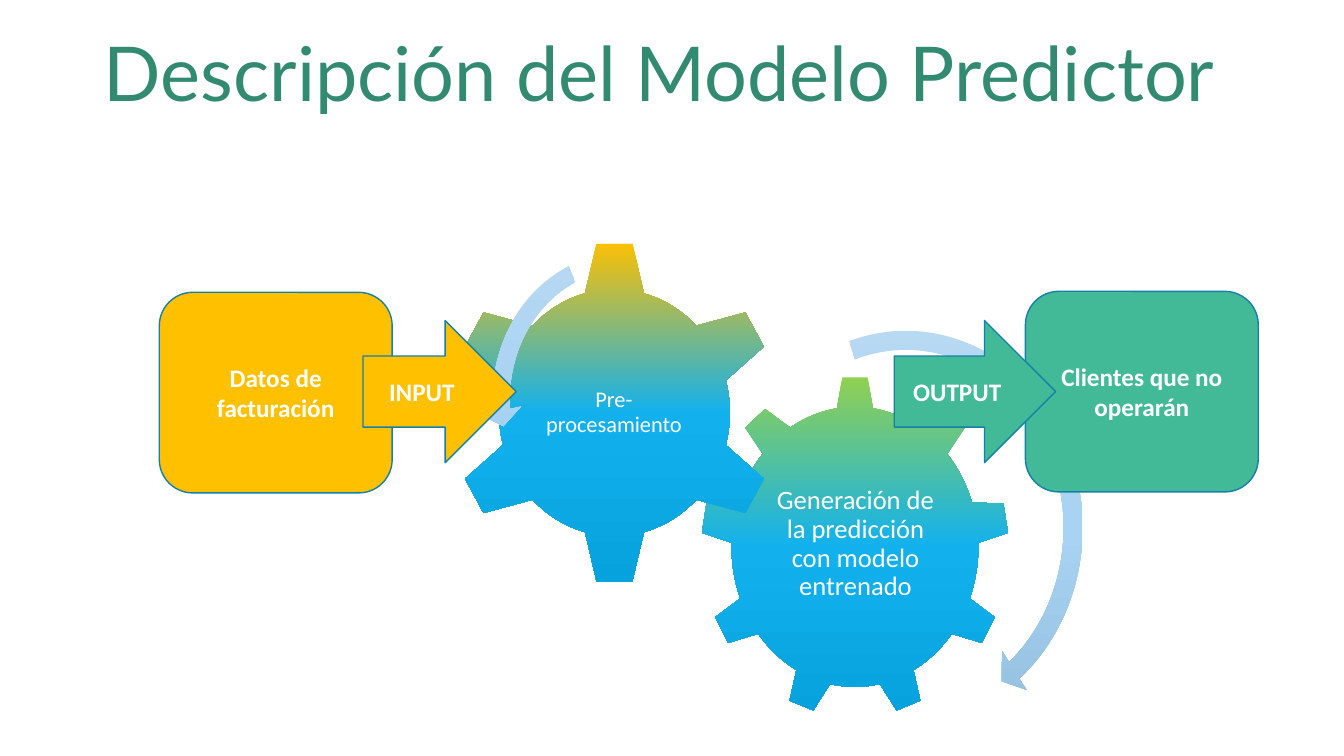
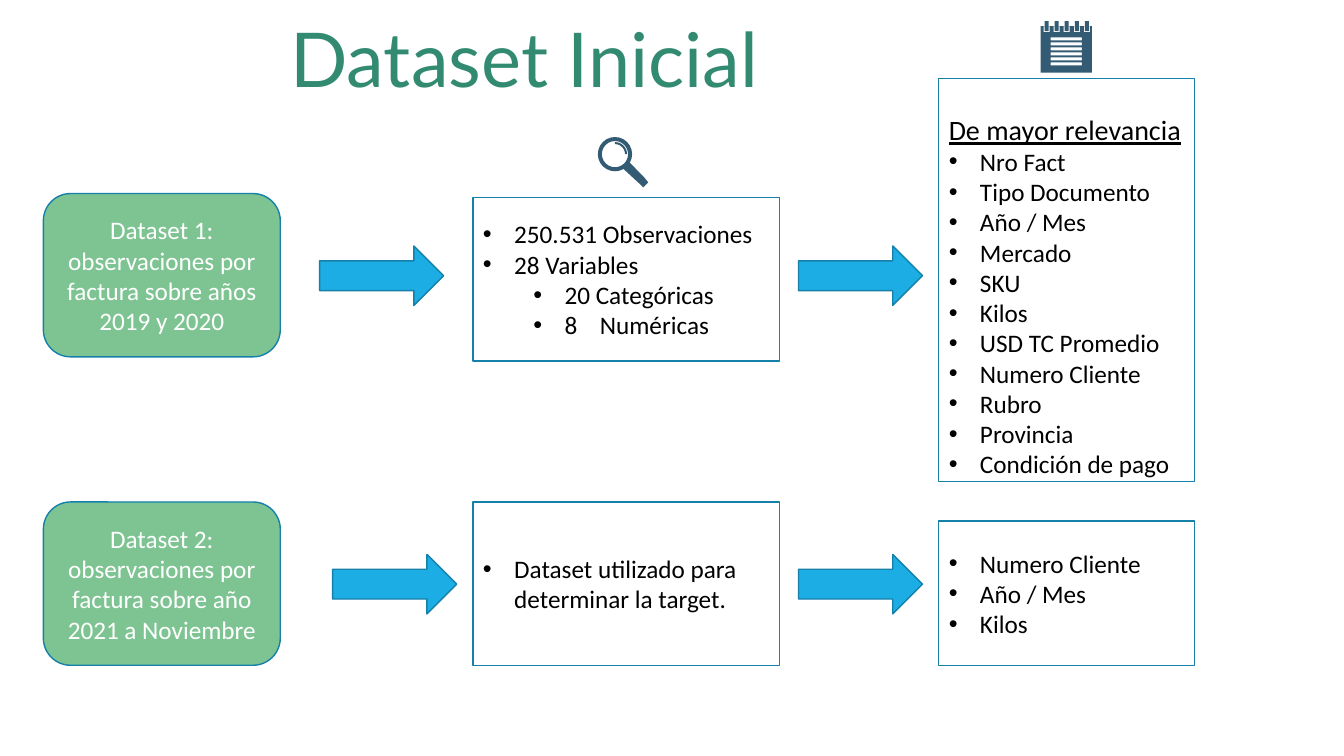
from copy import deepcopy
from math import cos, radians, sin

from lxml.etree import SubElement
from pptx import Presentation
from pptx.dml.color import RGBColor
from pptx.enum.shapes import MSO_SHAPE
from pptx.enum.text import MSO_ANCHOR, MSO_AUTO_SIZE, PP_ALIGN
from pptx.oxml.ns import qn
from pptx.util import Inches, Pt

WHITE, BLACK = "FFFFFF", "000000"
TITLE_GREEN, OUTLINE, ICON = "328B71", "1580A9", "335B74"
AMBER, TEAL, SOFT_GREEN, ARROW_BLUE = "FFC000", "42BA97", "7EC492", "1CADE4"
GEAR_BLUES = ["12B1EE", "06A2DD"]
SWEEP_BLUES = ["B8D9F2", "A9D3F3", "91BDDC"]

rgb = RGBColor.from_string


def add_block(slide, kind, box, fill, outline=None, text="", bold=False, adjust=()):
    """Add a preset shape; a list of three colours as fill gives a vertical gradient."""
    shape = slide.shapes.add_shape(kind, *map(Inches, box))
    shape.shadow.inherit = False
    for index, value in enumerate(adjust):
        shape.adjustments[index] = value
    if isinstance(fill, list):
        shape.fill.gradient()
        shape.fill.gradient_angle = 270
        stops = shape._element.spPr.find(".//" + qn("a:gsLst"))
        stops.insert(1, deepcopy(stops[0]))
        for stop, position, colour in zip(shape.fill.gradient_stops, (0, 0.5, 1), fill):
            stop.position = position
            stop.color.rgb = rgb(colour)
    else:
        shape.fill.solid()
        shape.fill.fore_color.rgb = rgb(fill)
    if outline:
        shape.line.color.rgb = rgb(outline)
        shape.line.width = Pt(1)
    else:
        shape.line.fill.background()
    if text:
        paragraph = shape.text_frame.paragraphs[0]
        paragraph.alignment = PP_ALIGN.CENTER
        add_run(paragraph, text, 18, WHITE, bold=bold)


def add_run(paragraph, text, size, colour, font="Calibri", bold=False):
    run = paragraph.add_run()
    run.text = text
    run.font.size = Pt(size)
    run.font.name = font
    run.font.bold = bold
    run.font.color.rgb = rgb(colour)
    return run


prs = Presentation()
prs.slide_width, prs.slide_height = Inches(13.33), Inches(7.5)
TITLE_ONLY, COMPARISON = prs.slide_layouts[5], prs.slide_layouts[4]

slides = []
for layout, heading, box in [
    (TITLE_ONLY, "Descripción del Modelo Predictor", (0.93, 0.21, 11.23, 1.01)),
    (COMPARISON, "Dataset Inicial", (2.78, 0.07, 4.96, 1.01)),
]:
    slide = prs.slides.add_slide(layout)
    title = slide.shapes.title
    title.left, title.top, title.width, title.height = map(Inches, box)
    title.text_frame.word_wrap = False
    title.text_frame.auto_size = MSO_AUTO_SIZE.NONE
    title.text_frame.vertical_anchor = MSO_ANCHOR.TOP
    title.text_frame.paragraphs[0].alignment = PP_ALIGN.LEFT
    add_run(title.text_frame.paragraphs[0], heading, 54, TITLE_GREEN, "Lato")
    slides.append(slide)
model_slide, dataset_slide = slides

# Model: input, two gears, output
for gear, box, top_colour, label, label_box, size in [
    (MSO_SHAPE.GEAR_9, (6.95, 3.73, 3.06, 3.39), "92D050",
     "Generación de la predicción con modelo entrenado", (7.57, 4.53, 1.83, 1.74), 19),
    (MSO_SHAPE.GEAR_6, (4.46, 2.38, 3.27, 3.43), AMBER,
     "Pre-procesamiento", (5.26, 3.25, 1.66, 1.69), 16),
]:
    add_block(model_slide, gear, box, [top_colour] + GEAR_BLUES)
    frame = model_slide.shapes.add_textbox(*map(Inches, label_box)).text_frame
    frame.word_wrap = True
    frame.vertical_anchor = MSO_ANCHOR.MIDDLE
    frame.margin_left = frame.margin_right = Inches(0.03)
    frame.margin_top = frame.margin_bottom = Inches(0.03)
    frame.paragraphs[0].alignment = PP_ALIGN.CENTER
    frame.paragraphs[0].line_spacing = 0.9
    add_run(frame.paragraphs[0], label, size, WHITE)

add_block(model_slide, MSO_SHAPE.CIRCULAR_ARROW, (7.1, 3.15, 3.77, 4.17), SWEEP_BLUES,
          adjust=(0.05, 3.13, 31.68, 151.87, 0.06))
add_block(model_slide, MSO_SHAPE.LEFT_CIRCULAR_ARROW, (4.77, 2.39, 2.85, 3.15), SWEEP_BLUES,
          adjust=(0.06, 4.3, 104.89, 148.38, 0.07))

for kind, box, colour, label in [
    (MSO_SHAPE.ROUNDED_RECTANGLE, (1.58, 2.9, 2.31, 1.99), AMBER, "Datos de facturación"),
    (MSO_SHAPE.ROUNDED_RECTANGLE, (10.17, 2.89, 2.31, 1.99), TEAL, "Clientes que no operarán"),
    (MSO_SHAPE.RIGHT_ARROW, (3.6, 3.18, 1.52, 1.41), AMBER, "INPUT"),
    (MSO_SHAPE.RIGHT_ARROW, (8.87, 3.18, 1.6, 1.41), TEAL, "OUTPUT"),
]:
    add_block(model_slide, kind, box, colour, OUTLINE, label, bold=True)

# Datasets: one row each, from source to variables
for top, first_arrow, source in [
    (1.92, 3.17, "Dataset 1: observaciones por factura sobre años 2019 y 2020"),
    (4.98, 3.3, "Dataset 2: observaciones por factura sobre año 2021 a Noviembre"),
]:
    add_block(dataset_slide, MSO_SHAPE.ROUNDED_RECTANGLE, (0.43, top, 2.35, 1.62),
              SOFT_GREEN, OUTLINE, source)
    for left in (first_arrow, 7.92):
        add_block(dataset_slide, MSO_SHAPE.RIGHT_ARROW, (left, top + 0.52, 1.23, 0.59),
                  ARROW_BLUE, OUTLINE)

# Each list: box, anchor, heading, items as (level, text)
relevant = ["Nro Fact", "Tipo Documento", "Año / Mes", "Mercado", "SKU", "Kilos",
            "USD TC Promedio", "Numero Cliente", "Rubro", "Provincia", "Condición de pago"]
lists = [
    ((4.69, 1.96, 3.04, 1.62), MSO_ANCHOR.MIDDLE, None,
     [(0, "250.531 Observaciones"), (0, "28 Variables"),
      (1, "20 Categóricas"), (1, "8\tNuméricas")]),
    ((9.31, 0.78, 2.54, 4), MSO_ANCHOR.BOTTOM, "De mayor relevancia",
     [(0, name) for name in relevant]),
    ((4.69, 4.98, 3.04, 1.62), MSO_ANCHOR.MIDDLE, None,
     [(0, "Dataset utilizado para determinar la target.")]),
    ((9.31, 5.17, 2.54, 1.43), MSO_ANCHOR.MIDDLE, None,
     [(0, name) for name in ("Numero Cliente", "Año / Mes", "Kilos")]),
]
bodies = [p for p in dataset_slide.placeholders if p.placeholder_format.idx > 0][:len(lists)]
for body, (box, anchor, heading, items) in zip(bodies, lists):
    body.left, body.top, body.width, body.height = map(Inches, box)
    body.fill.solid()
    body.fill.fore_color.rgb = rgb(WHITE)
    body.line.color.rgb = rgb(OUTLINE)
    body.line.width = Pt(1)
    frame = body.text_frame
    frame.auto_size = MSO_AUTO_SIZE.NONE
    frame.vertical_anchor = anchor
    if anchor == MSO_ANCHOR.BOTTOM:
        frame.margin_bottom = Inches(0.03)
    entries = ([(None, heading)] if heading else []) + items
    for index, (level, text) in enumerate(entries):
        paragraph = frame.add_paragraph() if index else frame.paragraphs[0]
        paragraph.space_before = Pt(0)
        properties = paragraph._p.get_or_add_pPr()
        if level is None:
            properties.set("marL", "0")
            properties.set("indent", "0")
            SubElement(properties, qn("a:buNone"))
            add_run(paragraph, text, 20, BLACK).font.underline = True
            continue
        paragraph.level = level
        properties.set("marL", str(Inches(0.31 + 0.5 * level)))
        properties.set("indent", str(-Inches(0.31)))
        SubElement(properties, qn("a:buFont"), typeface="Arial")
        SubElement(properties, qn("a:buChar"), char="•")
        if "\t" in text:
            tabs = SubElement(properties, qn("a:tabLst"))
            SubElement(tabs, qn("a:tab"), pos=str(Inches(1.16)), algn="l")
        add_run(paragraph, text, 18, BLACK)

# Icons: one outline each, where overlapping contours cut holes
LENS_X, LENS_Y = 6.1, 1.53
rim, lens, glint_outer, glint_inner = [
    [(LENS_X + radius * cos(radians(a)), LENS_Y + radius * sin(radians(a))) for a in angles]
    for radius, angles in [(0.17, range(60, 391, 15)), (0.13, range(0, 360, 15)),
                           (0.12, range(270, 361, 15)), (0.1, range(360, 269, -15))]
]
grip = [(6.39, 1.76), (6.43, 1.81), (6.38, 1.86), (6.34, 1.82)]
magnifier = [rim + grip, lens, glint_outer + glint_inner]

notepad_boxes = [(10.32, 0.26, 0.51, 0.46)]
notepad_boxes += [(10.42, 0.37 + 0.05 * line, 0.31, 0.03) for line in range(6)]
for ring in range(5):
    centre = 10.38 + 0.1 * ring
    notepad_boxes += [(centre - 0.03, 0.26, 0.06, 0.06), (centre - 0.02, 0.21, 0.04, 0.1)]
notepad = [[(x, y), (x + w, y), (x + w, y + h), (x, y + h)] for x, y, w, h in notepad_boxes]

for contours in (magnifier, notepad):
    builder = None
    for contour in contours:
        start, *others = [(Inches(x), Inches(y)) for x, y in contour]
        if builder is None:
            builder = dataset_slide.shapes.build_freeform(*start)
        else:
            builder.move_to(*start)
        builder.add_line_segments(others, close=True)
    icon = builder.convert_to_shape()
    icon.shadow.inherit = False
    icon.fill.solid()
    icon.fill.fore_color.rgb = rgb(ICON)
    icon.line.fill.background()

prs.save("out.pptx")
